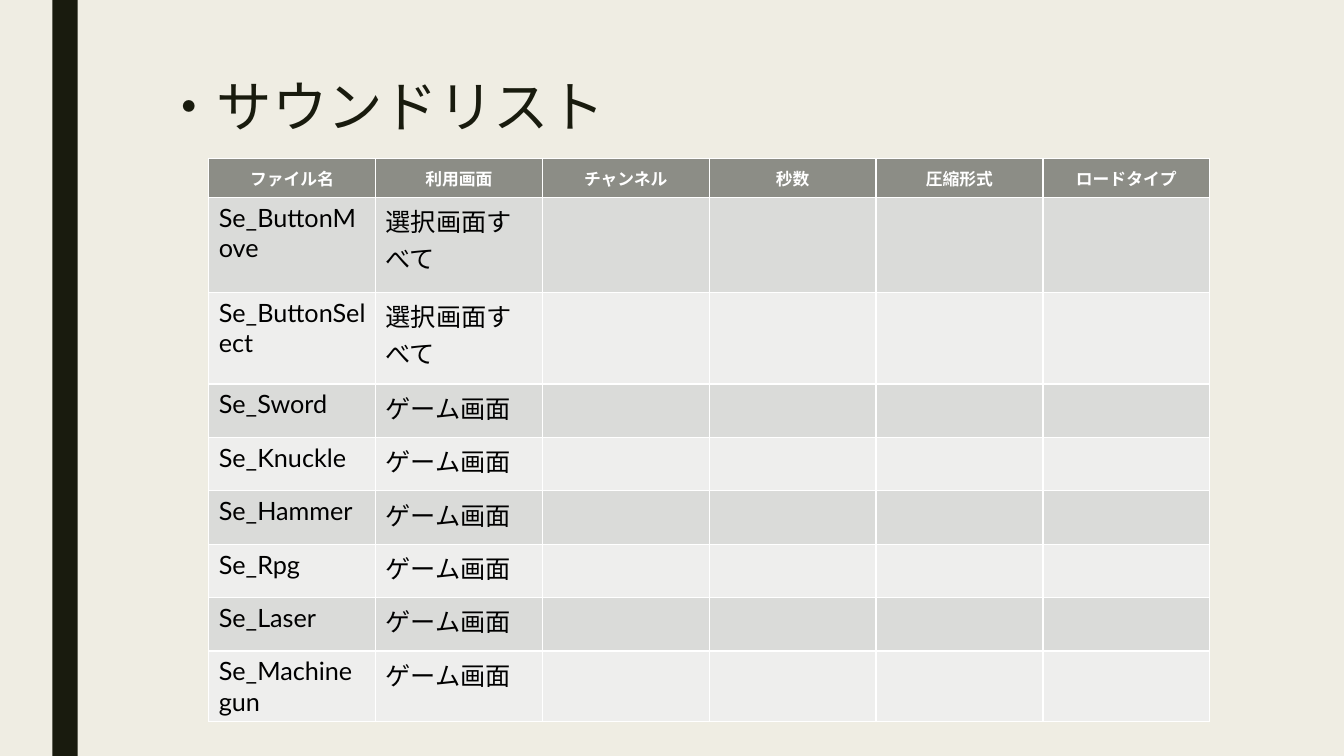
from pptx import Presentation
from pptx.dml.color import RGBColor
from pptx.enum import shapes, text
from pptx.util import Inches, Pt

FONT = "Lato"
COLORS = {
    "background": "EFEDE3",
    "dark": "191B0E",
    "header": "8C8D86",
    "odd_row": "DADBD9",
    "even_row": "EEEEED",
    "white": "FFFFFF",
    "black": "000000",
}
TITLE = "・サウンドリスト"
HEADERS = ["ファイル名", "利用画面", "チャンネル", "秒数", "圧縮形式", "ロードタイプ"]
SOUNDS = [
    ("Se_ButtonMove", "選択画面すべて"),
    ("Se_ButtonSelect", "選択画面すべて"),
    ("Se_Sword", "ゲーム画面"),
    ("Se_Knuckle", "ゲーム画面"),
    ("Se_Hammer", "ゲーム画面"),
    ("Se_Rpg", "ゲーム画面"),
    ("Se_Laser", "ゲーム画面"),
    ("Se_Machine gun", "ゲーム画面"),
]
ROW_HEIGHTS = [0.39, 0.94, 0.91] + [0.53] * 6
TABLE_LEFT, TABLE_TOP, TABLE_WIDTH = 2.07, 1.57, 9.93


def color(name):
    return RGBColor.from_string(COLORS[name])


def paint(item, name):
    item.fill.solid()
    item.fill.fore_color.rgb = color(name)


def add_run(para, words, size, color_name, bold=False):
    span = para.add_run()
    span.text = words
    span.font.name = FONT
    span.font.size = Pt(size)
    span.font.bold = bold
    span.font.color.rgb = color(color_name)


def add_side_bar(page):
    bar = page.shapes.add_shape(
        shapes.MSO_SHAPE.RECTANGLE, Inches(0.52), 0, Inches(0.25), Inches(7.5))
    bar.shadow.inherit = False
    paint(bar, "dark")
    bar.line.fill.background()


def add_title(page):
    box = page.shapes.add_textbox(
        Inches(1.5), Inches(0.75), Inches(10.5), Inches(0.68))
    frame = box.text_frame
    frame.word_wrap = True
    frame.vertical_anchor = text.MSO_ANCHOR.MIDDLE
    para = frame.paragraphs[0]
    para.line_spacing = 0.89
    add_run(para, TITLE, 39.6, "dark")


def add_sound_table(page):
    table = page.shapes.add_table(
        len(SOUNDS) + 1, len(HEADERS), Inches(TABLE_LEFT), Inches(TABLE_TOP),
        Inches(TABLE_WIDTH), Inches(sum(ROW_HEIGHTS))).table
    for row, height in zip(table.rows, ROW_HEIGHTS):
        row.height = Inches(height)

    for cell, header in zip(table.rows[0].cells, HEADERS):
        paint(cell, "header")
        cell.vertical_anchor = text.MSO_ANCHOR.MIDDLE
        para = cell.text_frame.paragraphs[0]
        para.alignment = text.PP_ALIGN.CENTER
        add_run(para, header, 12, "white", bold=True)

    for number, sound in enumerate(SOUNDS, start=1):
        cells = list(table.rows[number].cells)
        for cell in cells:
            paint(cell, "odd_row" if number % 2 else "even_row")
        for cell, words in zip(cells, sound):
            add_run(cell.text_frame.paragraphs[0], words, 18, "black")


def main():
    deck = Presentation()
    deck.slide_width, deck.slide_height = Inches(13.33), Inches(7.5)
    page = deck.slides.add_slide(deck.slide_layouts[6])
    paint(page.background, "background")
    add_side_bar(page)
    add_title(page)
    add_sound_table(page)
    deck.save("out.pptx")


if __name__ == "__main__":
    main()
